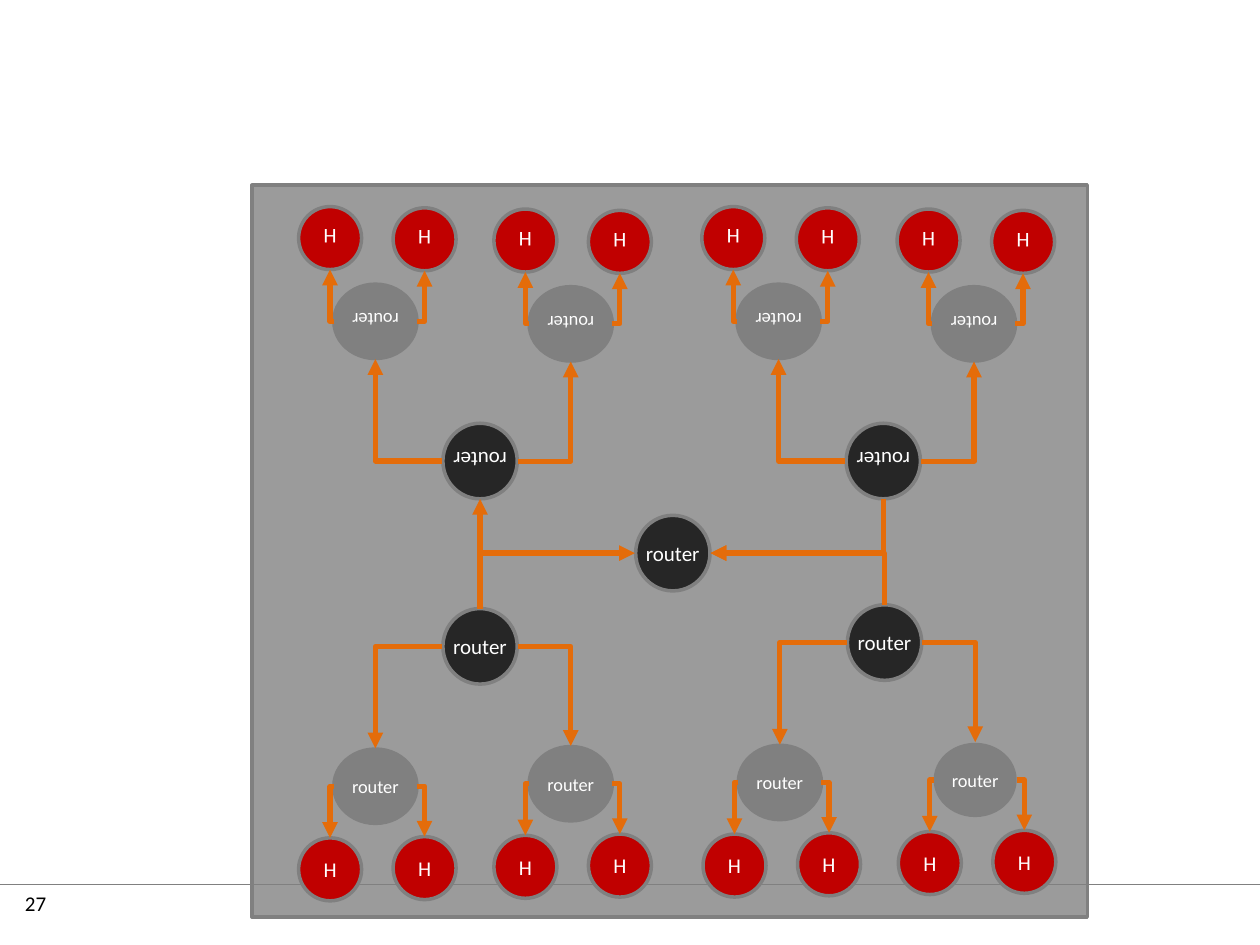
from lxml import etree
from pptx import Presentation
from pptx.dml.color import RGBColor
from pptx.enum.shapes import MSO_CONNECTOR, MSO_SHAPE
from pptx.enum.text import MSO_ANCHOR, PP_ALIGN
from pptx.oxml.ns import qn
from pptx.util import Inches, Pt

ELBOW, STRAIGHT = MSO_CONNECTOR.ELBOW, MSO_CONNECTOR.STRAIGHT
OVAL, RECTANGLE = MSO_SHAPE.OVAL, MSO_SHAPE.RECTANGLE
MIDDLE, CENTER = MSO_ANCHOR.MIDDLE, PP_ALIGN.CENTER

COLORS = {
    "gray": "808080",
    "hub": "262626",
    "host": "C00000",
    "arrow": "E46C0A",
    "light": "FFFFFF",
    "dark": "000000",
}
COLORS = {name: RGBColor.from_string(value) for name, value in COLORS.items()}
FONT = "Calibri"
NODES = {
    "hub": ("router", 0.59, 0.6, 12, "hub"),
    "edge": ("router", 0.66, 0.59, 10.5, "gray"),
    "host": ("H", 0.5, 0.5, 12, "host"),
}

deck = Presentation()
deck.slide_width, deck.slide_height = Inches(10), Inches(7.5)
page = deck.slides.add_slide(deck.slide_layouts[6])


def add_node(kind, x, y, flipped=False):
    label, width, height, size, color = NODES[kind]
    node = page.shapes.add_shape(OVAL, Inches(x - width / 2), Inches(y - height / 2),
                                 Inches(width), Inches(height))
    node.shadow.inherit = False
    node.fill.solid()
    node.fill.fore_color.rgb = COLORS[color]
    node.line.color.rgb = COLORS["gray"]
    node.line.width = Pt(2)
    if flipped:
        node.element.spPr.find(qn("a:xfrm")).set("flipV", "1")
    frame = node.text_frame
    frame.margin_left = frame.margin_right = frame.margin_top = frame.margin_bottom = 0
    frame.word_wrap = False
    frame.vertical_anchor = MIDDLE
    para = frame.paragraphs[0]
    para.alignment = CENTER
    span = para.add_run()
    span.text = label
    span.font.name = FONT
    span.font.size = Pt(size)
    span.font.color.rgb = COLORS["light"]
    return node


def add_link(kind, start, end, color="arrow", width=3, arrow=None):
    link = page.shapes.add_connector(kind, *(Inches(value) for value in (*start, *end)))
    link.line.color.rgb = COLORS[color]
    link.line.width = Pt(width)
    properties = link.element.spPr
    if kind == ELBOW:
        properties.find(qn("a:prstGeom")).set("prst", "bentConnector2")
    if arrow:
        etree.SubElement(properties.find(qn("a:ln")), qn(arrow)).set("type", "triangle")
    etree.SubElement(properties, qn("a:effectLst"))


number = page.shapes.add_textbox(Inches(0.1), Inches(7.02), Inches(0.8), Inches(0.4))
number.text_frame.word_wrap = True
span = number.text_frame.paragraphs[0].add_run()
span.text = "27"
span.font.name = FONT
span.font.size = Pt(12)
span.font.color.rgb = COLORS["dark"]
add_link(STRAIGHT, (0, 7.02), (10, 7.02), "gray", 0.75)

panel = page.shapes.add_shape(RECTANGLE, Inches(2), Inches(1.47), Inches(6.63), Inches(5.81))
panel.shadow.inherit = False
panel.fill.solid()
panel.fill.fore_color.rgb = COLORS["gray"]
panel_color = panel.element.spPr.find(qn("a:solidFill")).find(qn("a:srgbClr"))
etree.SubElement(panel_color, qn("a:alpha")).set("val", "78000")
panel.line.color.rgb = COLORS["gray"]
panel.line.width = Pt(2)

root_x, root_y = 5.34, 4.39
add_node("hub", root_x, root_y)

CLUSTERS = [(7.02, 5.1, 1), (3.81, 5.13, 1), (7.01, 3.66, -1), (3.81, 3.66, -1)]
EDGES = [(-1, -0.83, 1.11), (1, 0.72, 1.09)]
HOSTS = [(-1, -0.36, 0.66), (1, 0.39, 0.65)]

for hub_x, hub_y, way in CLUSTERS:
    flipped = way < 0
    add_node("hub", hub_x, hub_y, flipped)
    for side, edge_dx, edge_dy in EDGES:
        edge_x, edge_y = hub_x + edge_dx, hub_y + way * edge_dy
        edge = add_node("edge", edge_x, edge_y, flipped)
        if (hub_x, way, side) == (7.02, 1, 1):
            edge.line.fill.background()
        add_link(ELBOW, (hub_x + side * 0.3, hub_y), (edge_x, edge_y - way * 0.3),
                 arrow="a:tailEnd")
        for host_side, host_dx, host_dy in HOSTS:
            host_x, host_y = edge_x + host_dx, edge_y + way * host_dy
            add_node("host", host_x, host_y, flipped)
            add_link(ELBOW, (edge_x + host_side * 0.33, edge_y),
                     (host_x, host_y - way * 0.25), arrow="a:tailEnd")

for side, x, y in [(-1, 3.81, 4.83), (1, 7.02, 4.8), (1, 7.01, 3.96)]:
    add_link(ELBOW, (root_x + side * 0.3, root_y), (x, y), arrow="a:headEnd")
add_link(STRAIGHT, (3.81, 4.83), (3.81, 3.96), arrow="a:tailEnd")

deck.save("out.pptx")
